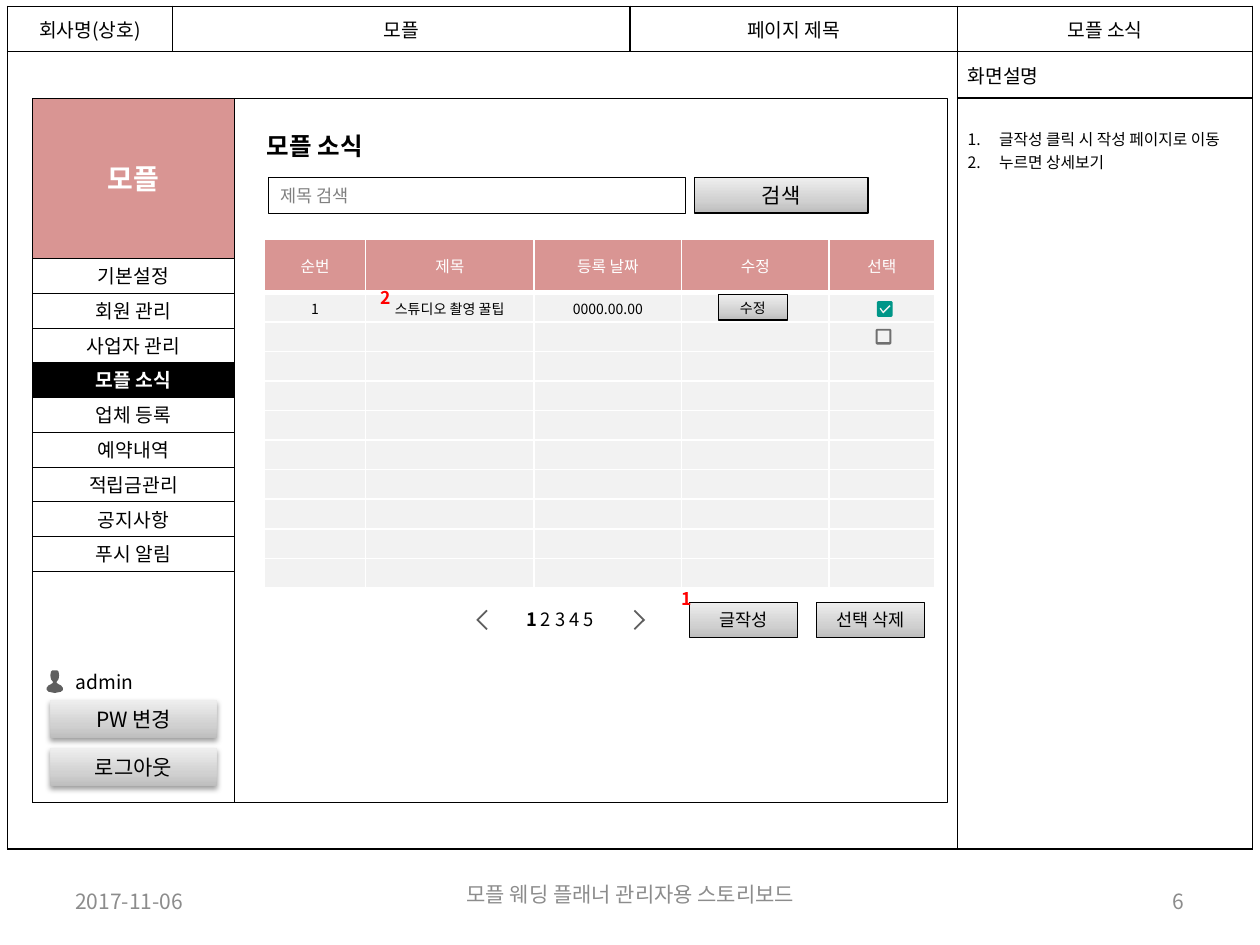
from dataclasses import dataclass
from math import cos, pi, sin

from lxml.etree import SubElement
from pptx import Presentation
from pptx.dml.color import RGBColor
from pptx.enum.shapes import MSO_SHAPE as Shape
from pptx.enum.text import MSO_ANCHOR as Anchor, PP_ALIGN as Align
from pptx.oxml.ns import qn
from pptx.util import Inches, Pt


@dataclass(frozen=True)
class Theme:
    font: str = "Noto Sans CJK KR"
    black: str = "000000"
    white: str = "FFFFFF"
    rose: str = "D99593"
    row: str = "F2F2F2"
    icon: str = "5F5F5F"
    hint: str = "808080"
    footer: str = "8C8C8C"
    marker: str = "FF0000"
    teal: str = "009688"
    button: tuple = ((0, "BDBDBD"), (35, "D1D1D1"), (100, "EEEEEE"))
    tiny: float = 8
    small: float = 9
    body: float = 10
    pager: float = 10.5
    label: float = 11
    large: float = 12
    title: float = 14
    logo: float = 16


THEME = Theme()
BRAND = "모플"


def rgb(value):
    return RGBColor.from_string(value)


def box(left, top, width, height):
    return [Inches(v) for v in (left, top, width, height)]


class Storyboard:
    """Holds the theme and the current slide; one method per kind of element."""

    def __init__(self, slide, theme):
        self.shapes = slide.shapes
        self.theme = theme

    def style(self, paragraph, size, color, bold=False, align=Align.LEFT):
        paragraph.alignment = align
        for run in paragraph.runs:
            run.font.size, run.font.bold = Pt(size), bold
            run.font.color.rgb = rgb(color)
            run.font.name = self.theme.font
            SubElement(run.font._element, qn("a:ea"), typeface=self.theme.font)

    def text(self, place, words, size, color=THEME.black, bold=False,
             align=Align.LEFT, anchor=Anchor.TOP, wrap=True):
        frame = self.shapes.add_textbox(*box(*place)).text_frame
        frame.word_wrap, frame.vertical_anchor = wrap, anchor
        frame.text = words
        self.style(frame.paragraphs[0], size, color, bold, align)
        return frame.paragraphs[0]

    def rect(self, place, words="", size=THEME.label, fill=None, color=THEME.black,
             bold=False, align=Align.CENTER, line=0.25):
        shape = self.shapes.add_shape(Shape.RECTANGLE, *box(*place))
        shape.shadow.inherit = False
        if fill:
            shape.fill.solid()
            shape.fill.fore_color.rgb = rgb(fill)
        else:
            shape.fill.background()
        if line:
            shape.line.color.rgb, shape.line.width = rgb(self.theme.black), Pt(line)
        else:
            shape.line.fill.background()
        if words:
            shape.text_frame.text = words
            shape.text_frame.vertical_anchor = Anchor.MIDDLE
            self.style(shape.text_frame.paragraphs[0], size, color, bold, align)
        return shape

    def button(self, place, words, size, raised=False):
        shape = self.rect(place, words, size, line=0 if raised else 0.75)
        shape.fill.gradient()
        shape.fill.gradient_angle = 90
        properties = shape._element.spPr
        stops = properties.find(".//" + qn("a:gsLst"))
        stops.clear()
        for position, color in self.theme.button:
            stop = SubElement(stops, qn("a:gs"), pos=str(position * 1000))
            SubElement(stop, qn("a:srgbClr"), val=color)
        if raised:
            shadow = SubElement(properties.find(qn("a:effectLst")), qn("a:outerShdw"),
                                blurRad="40000", dist="20000", dir="5400000", rotWithShape="0")
            tint = SubElement(shadow, qn("a:srgbClr"), val=self.theme.black)
            SubElement(tint, qn("a:alpha"), val="38000")

    def icon(self, contours, color, opacity=100):
        contours = [[(Inches(x), Inches(y)) for x, y in contour] for contour in contours]
        builder = self.shapes.build_freeform(*contours[0][0], scale=1.0)
        for contour in contours:
            if contour is not contours[0]:
                builder.move_to(*contour[0])
            builder.add_line_segments(contour[1:], close=True)
        shape = builder.convert_to_shape()
        shape.shadow.inherit = False
        shape.fill.solid()
        shape.fill.fore_color.rgb = rgb(color)
        shape.line.fill.background()
        if opacity < 100:
            tint = shape._element.spPr.find(qn("a:solidFill"))[0]
            SubElement(tint, qn("a:alpha"), val=str(opacity * 1000))

    def table(self, left, top, widths, heights):
        table = self.shapes.add_table(
            len(heights), len(widths), *box(left, top, sum(widths), sum(heights))).table
        table.horz_banding = table.first_row = False
        for column, width in zip(table.columns, widths):
            column.width = Inches(width)
        for row, height in zip(table.rows, heights):
            row.height = Inches(height)
        return table

    def cell(self, cell, words, size, color=THEME.black, fill=None, border=THEME.black,
             bottom=1, align=Align.CENTER, anchor=Anchor.MIDDLE, margins=(0.08, 0.05, 0.08, 0.05)):
        (cell.margin_left, cell.margin_top,
         cell.margin_right, cell.margin_bottom) = box(*margins)
        cell.vertical_anchor = anchor
        properties = cell._tc.get_or_add_tcPr()
        for side, width in zip("LRTB", (1, 1, 1, bottom)):
            edge = SubElement(properties, qn("a:ln" + side), w=str(Pt(width)))
            SubElement(SubElement(edge, qn("a:solidFill")), qn("a:srgbClr"), val=border)
        if fill:
            cell.fill.solid()
            cell.fill.fore_color.rgb = rgb(fill)
        else:
            cell.fill.background()
        cell.text_frame.text = words
        for paragraph in cell.text_frame.paragraphs:
            self.style(paragraph, size, color, align=align)
            if not words:
                SubElement(paragraph._p, qn("a:endParaRPr"), sz=str(size * 100))


def rounded_square(left, top, side=0.125, radius=0.015):
    points = []
    for quarter, (x, y) in enumerate(((1, 1), (0, 1), (0, 0), (1, 0))):
        center_x = left + (side - radius if x else radius)
        center_y = top + (side - radius if y else radius)
        for step in range(5):
            angle = (quarter + step / 4) * pi / 2
            points.append((center_x + radius * cos(angle), center_y + radius * sin(angle)))
    return points


def chevron(tip, direction):
    outline = ((0.08, 5), (0.09, 4.99), (0.02, 4.92), (0.09, 4.85), (0.08, 4.84), (0, 4.92))
    return [(tip + direction * x, y) for x, y in outline]


def person(center, top):
    half = [(0, 0), (0.02, 0), (0.03, 0.01), (0.035, 0.04), (0.03, 0.07), (0.015, 0.09),
            (0.015, 0.1), (0.03, 0.11), (0.05, 0.12), (0.065, 0.14), (0.065, 0.155),
            (0.05, 0.17), (0, 0.18)]
    return ([(center + x, top + y) for x, y in half]
            + [(center - x, top + y) for x, y in half[-2:0:-1]])


def main():
    deck = Presentation()
    deck.slide_width, deck.slide_height = Inches(10), Inches(7.5)
    board = Storyboard(deck.slides.add_slide(deck.slide_layouts[6]), THEME)
    t = THEME

    # Page sheet with the screen notes on the right
    sheet = board.table(0.06, 0.05, (1.31, 3.63, 2.6, 2.34), (0.36, 0.37, 5.96))
    sheet.cell(1, 0).merge(sheet.cell(2, 2))
    contents = {(0, 0): "회사명(상호)", (0, 1): BRAND, (0, 2): "페이지 제목",
                (0, 3): f"{BRAND} 소식", (1, 3): "화면설명"}
    for row in range(2):
        for column in range(4):
            board.cell(sheet.cell(row, column), contents.get((row, column), ""), t.label,
                       align=Align.LEFT if row else Align.CENTER)
    for column in range(3):
        board.cell(sheet.cell(2, column), "", t.label)
    notes = sheet.cell(2, 3)
    board.cell(notes, "글작성 클릭 시 작성 페이지로 이동\n누르면 상세보기", t.small,
               align=Align.LEFT, anchor=Anchor.TOP, margins=(0.08, 0.23, 0.08, 0.05))
    for note in notes.text_frame.paragraphs:
        numbering = note._p.get_or_add_pPr()
        numbering.set("marL", str(Inches(0.25)))
        numbering.set("indent", str(Inches(-0.25)))
        SubElement(numbering, qn("a:buAutoNum"), type="arabicPeriod")

    # Screen frame, title and sidebar head
    board.rect((0.26, 0.78, 7.26, 5.59))
    board.text((2.02, 0.99, 2.49, 0.34), f"{BRAND} 소식", t.title, bold=True)
    board.rect((0.26, 0.78, 1.6, 1.27), BRAND, t.logo, t.rose, t.white, True)

    # News list
    headings = ("순번", "제목", "등록 날짜", "수정", "선택")
    first_news = ("1", "스튜디오 촬영 꿀팁", "0000.00.00", "", "")
    news = board.table(2.1, 1.9, (0.8, 1.34, 1.17, 1.17, 0.84), [0.42] + [0.235] * 10)
    for column, heading in enumerate(headings):
        board.cell(news.cell(0, column), heading, t.small, t.white, t.rose, t.white,
                   bottom=3, margins=(0, 0.05, 0, 0.05))
        for row in range(1, 11):
            board.cell(news.cell(row, column), first_news[column] if row == 1 else "", t.tiny,
                       fill=t.row, border=t.white, anchor=Anchor.TOP, margins=(0, 0.05, 0, 0))

    # Pager
    board.icon([chevron(3.78, 1)], t.icon)
    board.icon([chevron(5.12, -1)], t.icon)
    pager = board.text((3.88, 4.78, 1.13, 0.29), "1", t.pager)
    pager.add_run().text = " 2 3 4 5"
    board.style(pager, t.pager, t.black, align=Align.CENTER)
    pager.runs[0].font.bold = True

    # Search and list buttons
    board.rect((2.13, 1.41, 3.31, 0.28), "제목 검색", t.body, t.white, t.hint, align=Align.LEFT)
    board.button((5.51, 1.41, 1.38, 0.28), "검색", t.large)
    board.button((6.48, 4.78, 0.86, 0.28), "선택 삭제", t.body)
    board.button((5.47, 4.78, 0.86, 0.28), "글작성", t.body)
    board.button((5.7, 2.34, 0.55, 0.2), "수정", t.tiny)

    # Checkboxes
    check = [(7.01, 2.49), (6.98, 2.45), (6.99, 2.44), (7.01, 2.47), (7.06, 2.42), (7.07, 2.43)]
    board.icon([rounded_square(6.96, 2.39), check], t.teal)
    hollow = [(6.965, 2.625), (6.965, 2.715), (7.06, 2.715), (7.06, 2.625)]
    board.icon([rounded_square(6.95, 2.61), hollow], t.black, opacity=54)

    # Note markers
    for left, top, number in ((5.31, 4.62, "1"), (2.92, 2.23, "2")):
        board.text((left, top, 0.28, 0.27), number, t.body, t.marker, True, wrap=False)

    # Sidebar menu
    board.rect((0.26, 4.26, 1.6, 2.11))
    current = f"{BRAND} 소식"
    menu = ("기본설정", "회원 관리", "사업자 관리", current, "업체 등록",
            "예약내역", "적립금관리", "공지사항", "푸시 알림")
    for index, item in enumerate(menu):
        active = item == current
        board.rect((0.26, 2.05 + 0.276 * index, 1.6, 0.28), item, t.label,
                   t.black if active else t.white, t.white if active else t.black, active)

    # Account
    board.icon([person(0.435, 5.32)], t.icon)
    board.text((0.5, 5.27, 1.35, 0.28), "admin", t.label, anchor=Anchor.MIDDLE)
    for top, action in ((5.94, "로그아웃"), (5.56, "PW 변경")):
        board.button((0.4, top, 1.32, 0.3), action, t.large, raised=True)

    # Footer
    for place, words, align in (
            ((0.5, 6.95, 2.33, 0.4), "2017-11-06", Align.LEFT),
            ((3.42, 6.9, 3.17, 0.4), f"{BRAND} 웨딩 플래너 관리자용 스토리보드", Align.CENTER),
            ((7.17, 6.95, 2.33, 0.4), "6", Align.RIGHT)):
        board.text(place, words, t.large, t.footer, align=align, anchor=Anchor.MIDDLE)

    deck.save("out.pptx")


if __name__ == "__main__":
    main()
